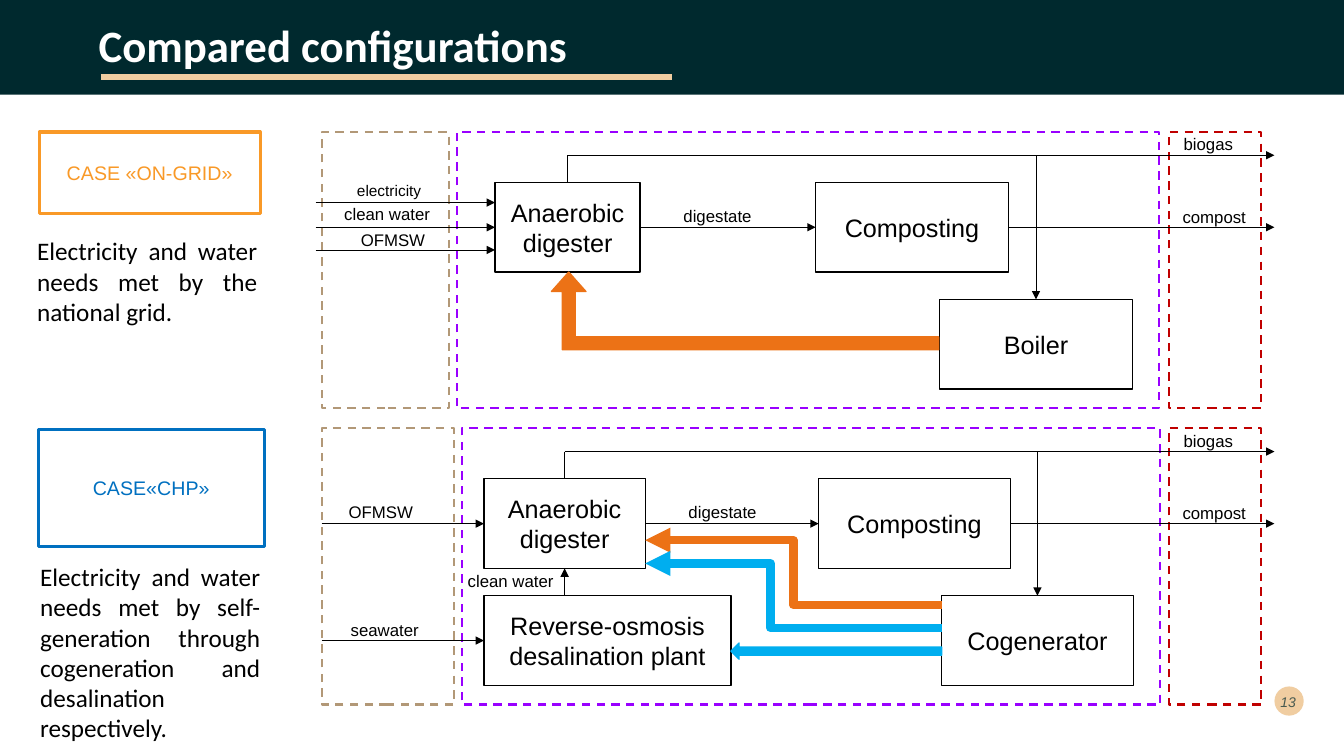
from dataclasses import dataclass

from lxml import etree
from pptx import Presentation
from pptx.dml.color import RGBColor
from pptx.enum.dml import MSO_LINE
from pptx.enum.shapes import MSO_CONNECTOR, MSO_SHAPE
from pptx.enum.text import MSO_ANCHOR, PP_ALIGN
from pptx.oxml.ns import qn
from pptx.util import Inches, Pt

RECT, OVAL = MSO_SHAPE.RECTANGLE, MSO_SHAPE.OVAL
BENT_UP, LEFT_ARROW = MSO_SHAPE.BENT_UP_ARROW, MSO_SHAPE.LEFT_ARROW
STRAIGHT, ELBOW = MSO_CONNECTOR.STRAIGHT, MSO_CONNECTOR.ELBOW
LEFT, CENTER, RIGHT, JUSTIFY = PP_ALIGN.LEFT, PP_ALIGN.CENTER, PP_ALIGN.RIGHT, PP_ALIGN.JUSTIFY
TOP, MIDDLE = MSO_ANCHOR.TOP, MSO_ANCHOR.MIDDLE
DASH = MSO_LINE.DASH
SIDE_TOP, SIDE_LEFT, SIDE_BOTTOM, SIDE_RIGHT = range(4)


@dataclass(frozen=True)
class Theme:
    header: str = "00292E"
    accent: str = "F0CDA1"
    number: str = "485A50"
    white: str = "FFFFFF"
    ink: str = "000000"
    on_grid: str = "F99927"
    chp: str = "0070C0"
    heat: str = "EC7216"
    power: str = "00AEEF"
    inputs: str = "B29877"
    plant: str = "9900FF"
    outputs: str = "C00000"
    font: str = "Arial"
    text_font: str = "Calibri"
    title_size: float = 32
    body_size: float = 18
    case_size: float = 14
    label_size: float = 12
    small_size: float = 11
    number_size: float = 10


T = Theme()


def rgb(color):
    return RGBColor.from_string(color)


def write(sp, text, size, color=T.ink, font=T.font, align=LEFT, anchor=TOP,
          bold=False, italic=False):
    tf = sp.text_frame
    tf.word_wrap = True
    tf.vertical_anchor = anchor
    p = tf.paragraphs[0]
    p.alignment = align
    r = p.add_run()
    r.text = text
    r.font.size, r.font.name = Pt(size), font
    r.font.bold, r.font.italic = bold, italic
    r.font.color.rgb = rgb(color)
    return p


def add_text(s, x, y, w, h, text, size, **style):
    sp = s.shapes.add_textbox(Inches(x), Inches(y), Inches(w), Inches(h))
    return write(sp, text, size, **style)


def add_label(s, x, y, w, text, size=T.label_size, align=LEFT):
    add_text(s, x, y, w, 0.3, text, size, align=align)


def add_box(s, x, y, w, h, kind=RECT, fill=None, line=None, width=1, dash=None):
    sp = s.shapes.add_shape(kind, Inches(x), Inches(y), Inches(w), Inches(h))
    sp.shadow.inherit = False
    if fill:
        sp.fill.solid()
        sp.fill.fore_color.rgb = rgb(fill)
    else:
        sp.fill.background()
    if line:
        sp.line.color.rgb = rgb(line)
        sp.line.width = Pt(width)
        if dash:
            sp.line.dash_style = dash
    else:
        sp.line.fill.background()
    return sp


def add_unit(s, x, y, w, text):
    """Process unit: outlined box with a centred name."""
    sp = add_box(s, x, y, w, 0.89, line=T.ink)
    write(sp, text, T.body_size, align=CENTER, anchor=MIDDLE)
    return sp


def add_line(s, start, end, color=T.ink, width=0.5, arrow=True, kind=STRAIGHT,
             begin=None, finish=None):
    """Line between two points; begin and finish are (shape, side) to join."""
    c = s.shapes.add_connector(kind, *(Inches(v) for v in (*start, *end)))
    if begin:
        c.begin_connect(*begin)
    if finish:
        c.end_connect(*finish)
    c.line.color.rgb = rgb(color)
    c.line.width = Pt(width)
    pr = c.element.spPr
    if arrow:
        etree.SubElement(pr.find(qn("a:ln")), qn("a:tailEnd"), type="triangle")
    etree.SubElement(pr, qn("a:effectLst"))
    return c


def header(s, x, y, w, h):
    add_box(s, x, y, w, h, fill=T.header)
    p = add_text(s, x + 0.88, y - 0.25, 11.5, 1.45, "Compared configurations", T.title_size,
                 color=T.white, font=T.text_font, bold=True, anchor=MIDDLE)
    p.line_spacing = 0.9
    add_line(s, (x + 1, y + 0.76), (x + 6.67, y + 0.76), T.accent, 4.32, arrow=False)


def page_number(s, x, y, d):
    add_box(s, x, y, d, d, kind=OVAL, fill=T.accent)
    add_text(s, x - 0.08, y - 0.05, 0.39, 0.4, "13", T.number_size, color=T.number,
             align=RIGHT, anchor=MIDDLE, italic=True)


def case_note(s, x, y, w, h, name, color, text, text_x, text_y):
    sp = add_box(s, x, y, w, h, line=color, width=2.25)
    write(sp, name, T.case_size, color, align=CENTER, anchor=MIDDLE)
    add_text(s, text_x, text_y, 2.38, 1, text, T.body_size, font=T.text_font, align=JUSTIFY)


def common_flow(s, x, y, zones, digester, composting, source, name):
    """Zones, units and product lines of both cases; spans are (offset, width)."""
    for (dx, w), color in zip(zones, (T.inputs, T.plant, T.outputs)):
        add_box(s, x + dx, y, w, 2.74, line=color, width=1.5, dash=DASH)
    (dig_x, dig_w), (comp_x, comp_w), (src_x, src_w) = digester, composting, source
    dig = add_unit(s, x + dig_x, y + 0.5, dig_w, "Anaerobic digester")
    comp = add_unit(s, x + comp_x, y + 0.5, comp_w, "Composting")
    src = add_unit(s, x + src_x, y + 1.66, src_w, name)

    end, gas_y, mid_y = x + 9.45, y + 0.23, y + 0.945
    dig_mid, src_mid = x + dig_x + dig_w / 2, x + src_x + src_w / 2
    add_line(s, (x + dig_x + dig_w, mid_y), (x + comp_x, mid_y),
             begin=(dig, SIDE_RIGHT), finish=(comp, SIDE_LEFT))
    add_line(s, (x + comp_x + comp_w, mid_y), (end, mid_y), begin=(comp, SIDE_RIGHT))
    add_line(s, (dig_mid, gas_y), (end, gas_y))
    add_line(s, (dig_mid, gas_y), (dig_mid, y + 0.5), arrow=False, finish=(dig, SIDE_TOP))
    add_line(s, (src_mid, gas_y), (src_mid, y + 1.66), finish=(src, SIDE_TOP))
    add_label(s, x + dig_x + dig_w + 0.33, y + 0.68, 1.02, "digestate")
    add_label(s, x + 8.45, y - 0.03, 0.92, "biogas")
    add_label(s, x + 8.44, y + 0.69, 0.92, "compost")
    return dig


def on_grid_flow(s, x, y):
    dig = common_flow(s, x, y, ((0, 1.26), (1.34, 6.97), (8.4, 0.92)),
                      (1.72, 1.44), (4.9, 1.91), (6.13, 1.91), "Boiler")
    for line_y, joint in ((0.7, None), (0.945, (dig, SIDE_LEFT)), (1.17, None)):
        add_line(s, (x - 0.06, y + line_y), (x + 1.72, y + line_y), finish=joint)
    add_label(s, x - 0.11, y + 0.44, 1.56, "electricity", T.small_size, CENTER)
    add_label(s, x - 0.01, y + 0.66, 1.32, "clean water", align=CENTER)
    add_label(s, x + 0.29, y + 0.92, 0.91, "OFMSW")
    heat = add_box(s, x + 2.28, y + 1.39, 3.84, 0.77, BENT_UP, T.heat, T.heat)
    heat.element.spPr.xfrm.set("flipH", "1")
    for i, value in enumerate((0.165, 0.222, 0.25)):
        heat.adjustments[i] = value


def chp_flow(s, x, y):
    dig = common_flow(s, x, y, ((0, 1.31), (1.39, 6.93), (8.4, 0.92)),
                      (1.61, 1.6), (4.93, 1.9), (6.15, 1.9), "Cogenerator")
    plant = add_unit(s, x + 1.61, y + 1.66, 2.45, "Reverse-osmosis desalination plant")
    for unit, line_y in ((dig, 0.945), (plant, 2.105)):
        add_line(s, (x, y + line_y), (x + 1.61, y + line_y), finish=(unit, SIDE_LEFT))
    add_line(s, (x + 2.41, y + 1.66), (x + 2.41, y + 1.39), finish=(dig, SIDE_BOTTOM))
    add_label(s, x + 0.17, y + 0.68, 0.91, "OFMSW")
    add_label(s, x + 0.19, y + 1.85, 1.31, "seawater")
    add_label(s, x + 1.35, y + 1.36, 1.05, "clean water")
    for color, start_y, bend in ((T.heat, 1.75, 0.5), (T.power, 1.98, 0.577)):
        c = add_line(s, (x + 6.15, y + start_y), (x + 3.21, y + start_y - 0.64),
                     color, 6, kind=ELBOW)
        guides = c.element.spPr.find(qn("a:prstGeom")).get_or_add_avLst()
        etree.SubElement(guides, qn("a:gd"), name="adj1", fmla=f"val {round(bend * 100000)}")
    add_box(s, x + 4.06, y + 2.13, 2.09, 0.16, LEFT_ARROW, T.power, T.power)


def main():
    prs = Presentation()
    prs.slide_width, prs.slide_height = Inches(13.33), Inches(7.5)
    s = prs.slides.add_slide(prs.slide_layouts[6])
    header(s, 0, 0, 13.33, 0.94)
    page_number(s, 12.64, 6.81, 0.29)
    case_note(s, 0.39, 1.31, 2.19, 0.81, "CASE «ON-GRID»", T.on_grid,
              "Electricity and water needs met by the national grid.", 0.27, 2.29)
    on_grid_flow(s, 3.19, 1.31)
    case_note(s, 0.38, 4.26, 2.24, 1.16, "CASE«CHP»", T.chp,
              "Electricity and water needs met by self-generation through "
              "cogeneration and desalination respectively.", 0.3, 5.52)
    chp_flow(s, 3.19, 4.25)
    prs.save("out.pptx")


if __name__ == "__main__":
    main()
